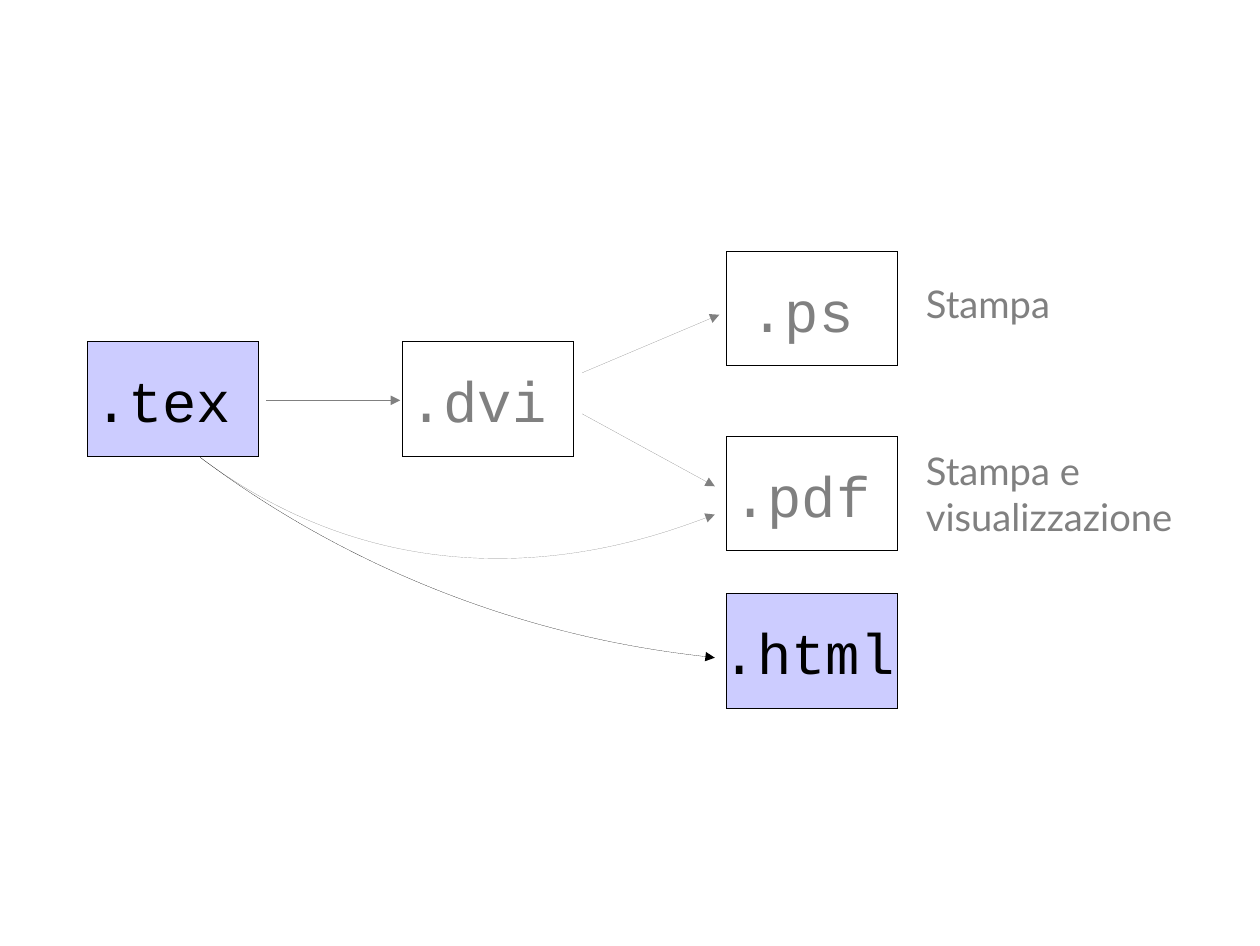
from lxml import etree
from pptx import Presentation
from pptx.dml.color import RGBColor
from pptx.enum.shapes import MSO_CONNECTOR as Connector, MSO_SHAPE as Shape
from pptx.enum.text import PP_ALIGN as Align
from pptx.oxml.ns import qn
from pptx.util import Cm, Pt

BLACK = RGBColor(0, 0, 0)
GREY = RGBColor(0x80, 0x80, 0x80)
WHITE = RGBColor(0xFF, 0xFF, 0xFF)
LILAC = RGBColor(0xCC, 0xCC, 0xFF)

presentation = Presentation()
presentation.slide_width = Cm(27.99)
presentation.slide_height = Cm(21.01)
slide = presentation.slides.add_slide(presentation.slide_layouts[6])


def add_text(text, left, top, width, height, font, size, color, align):
    box = slide.shapes.add_textbox(Cm(left), Cm(top), Cm(width), Cm(height))
    box.text_frame.word_wrap = True
    box.text_frame.text = text
    paragraph = box.text_frame.paragraphs[0]
    paragraph.alignment = align
    run = paragraph.runs[0]
    run.font.name = font
    run.font.size = Pt(size)
    run.font.color.rgb = color


def style_hairline(shape, color, arrowhead):
    shape.line.color.rgb = color
    properties = shape._element.spPr.find(qn("a:ln"))
    properties.set("w", "0")
    if arrowhead:
        etree.SubElement(properties, qn("a:tailEnd"), type="triangle")


formats = [
    (".tex", 1.94, 7.59, 4.09, LILAC, BLACK),
    (".dvi", 8.94, 7.59, 4.09, WHITE, GREY),
    (".ps", 16.14, 5.59, 4.09, WHITE, GREY),
    (".pdf", 16.14, 9.69, 4.09, WHITE, GREY),
    (".html", 16.14, 13.19, 4.39, LILAC, BLACK),
]
for name, left, top, text_width, fill, color in formats:
    box = slide.shapes.add_shape(Shape.RECTANGLE, Cm(left), Cm(top), Cm(3.81), Cm(2.54))
    box.shadow.inherit = False
    box.fill.solid()
    box.fill.fore_color.rgb = fill
    style_hairline(box, BLACK, arrowhead=False)
    add_text(name, left - 0.37, top + 0.4, text_width, 1.78,
             "Courier New", 36, color, Align.CENTER)

add_text("Stampa", 20.32, 6.11, 5.08, 1.24, "Lato", 24, GREY, Align.LEFT)
add_text("Stampa e visualizzazione", 20.32, 9.81, 6.99, 2.24, "Lato", 24, GREY, Align.LEFT)

start_x, start_y = 4.45, 10.16
bend = (9.53, 13.97)
for end, lowest, color in [((15.88, 11.43), 12.27, GREY), ((15.88, 14.61), 14.61, BLACK)]:
    builder = slide.shapes.build_freeform(Cm(start_x), Cm(start_y))
    corners = [(end[0], lowest), end]
    builder.add_line_segments([(Cm(x), Cm(y)) for x, y in corners], close=False)
    curve = builder.convert_to_shape()
    curve.shadow.inherit = False
    curve.fill.background()
    style_hairline(curve, color, arrowhead=True)
    outline = curve._element.find(".//" + qn("a:path"))
    for segment in outline.findall(qn("a:lnTo")):
        outline.remove(segment)
    bezier = etree.SubElement(outline, qn("a:cubicBezTo"))
    for x, y in (bend, end, end):
        etree.SubElement(bezier, qn("a:pt"), x=str(Cm(x - start_x)), y=str(Cm(y - start_y)))

for from_x, from_y, to_x, to_y in [
    (12.93, 8.28, 15.98, 6.99),
    (5.92, 8.89, 8.89, 8.89),
    (12.93, 9.19, 15.88, 10.8),
]:
    arrow = slide.shapes.add_connector(
        Connector.STRAIGHT, Cm(from_x), Cm(from_y), Cm(to_x), Cm(to_y))
    style_hairline(arrow, GREY, arrowhead=True)
    etree.SubElement(arrow._element.spPr, qn("a:effectLst"))

presentation.save("out.pptx")
